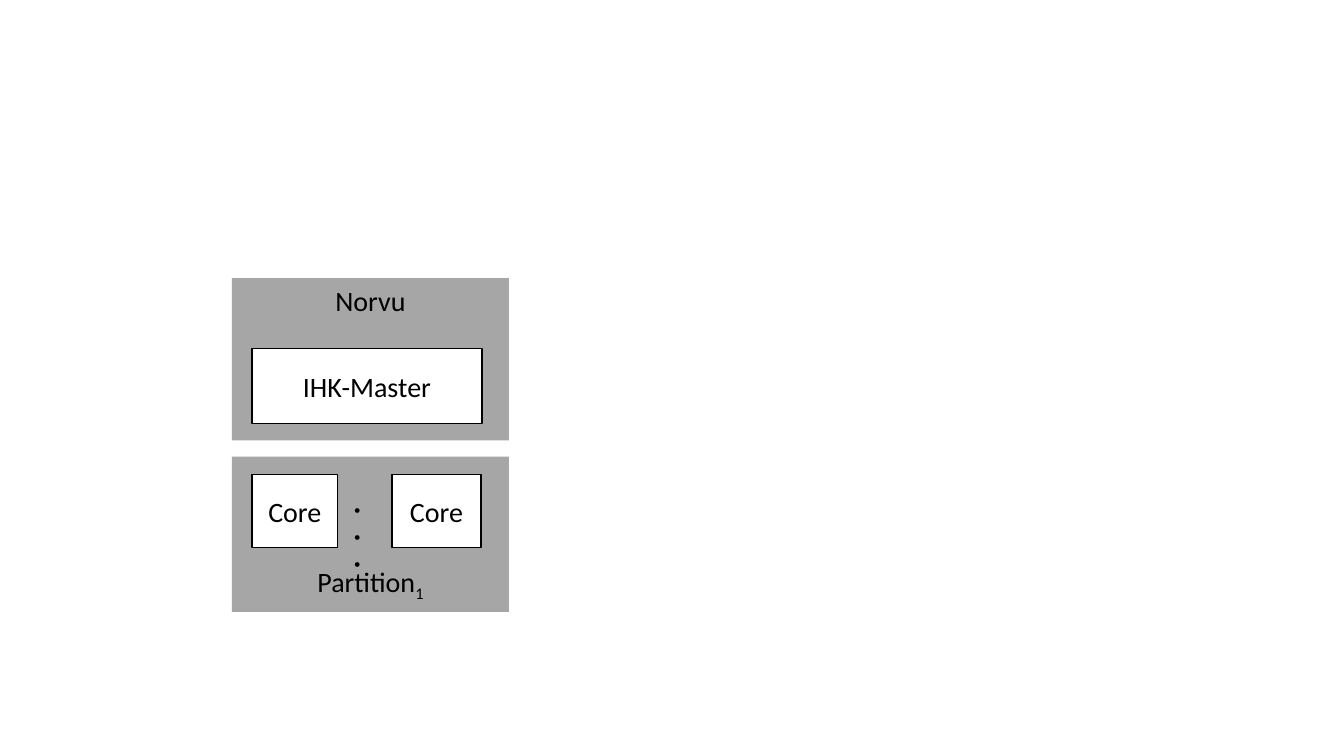
from pptx import Presentation
from pptx.dml.color import RGBColor
from pptx.enum.shapes import MSO_SHAPE as Shape
from pptx.enum.text import MSO_ANCHOR as Anchor, MSO_AUTO_SIZE as AutoSize, PP_ALIGN as Align
from pptx.util import Pt

BLACK, WHITE, GREY = "000000", "FFFFFF", "A6A6A6"
PANEL_LEFT, PANEL_WIDTH = 165.6, 198
CORE_TOP, CORE_HEIGHT = 339.1, 51.8
LABEL = {"name": "Calibri", "size": Pt(20)}
DOTS = {"name": "Times New Roman", "size": Pt(16)}


def color(value):
    return RGBColor.from_string(value)


def set_values(target, values):
    for name, value in values.items():
        setattr(target, name, value)


def add_run(paragraph, text, font):
    run = paragraph.add_run()
    run.text = text
    set_values(run.font, font)
    run.font.color.rgb = color(BLACK)
    return run


def add_box(slide, box, fill):
    shape = slide.shapes.add_shape(Shape.RECTANGLE, *map(Pt, box))
    shape.shadow.inherit = False
    shape.fill.solid()
    shape.fill.fore_color.rgb = color(fill)
    shape.line.fill.background()
    return shape


def add_labelled_box(slide, box, text):
    shape = add_box(slide, box, WHITE)
    shape.line.color.rgb = color(BLACK)
    shape.line.width = Pt(1)
    set_values(shape.text_frame, {
        "word_wrap": False, "vertical_anchor": Anchor.MIDDLE,
        "margin_left": Pt(6.5), "margin_right": Pt(6.5),
        "margin_top": Pt(3), "margin_bottom": Pt(3),
    })
    paragraph = shape.text_frame.paragraphs[0]
    paragraph.alignment = Align.CENTER
    add_run(paragraph, text, LABEL)


def add_text(slide, box, text, font, alignment=Align.CENTER, subscript=None):
    frame = slide.shapes.add_textbox(*map(Pt, box)).text_frame
    set_values(frame, {"word_wrap": True, "auto_size": AutoSize.NONE})
    paragraph = frame.paragraphs[0]
    paragraph.alignment = alignment
    add_run(paragraph, text, font)
    if subscript:
        run = add_run(paragraph, subscript, font)
        run.font._element.set("baseline", "-25000")


def main():
    presentation = Presentation()
    set_values(presentation, {"slide_width": Pt(960), "slide_height": Pt(540)})
    slide = presentation.slides.add_slide(presentation.slide_layouts[6])

    for top, height in ((326.2, 110.9), (198.7, 115.9)):
        add_box(slide, (PANEL_LEFT, top, PANEL_WIDTH, height), GREY)
    add_text(slide, (PANEL_LEFT, 198.7, PANEL_WIDTH, 31.7), "Norvu", LABEL)
    for left, width in ((180, 61.2), (280.1, 63.4)):
        add_labelled_box(slide, (left, CORE_TOP, width, CORE_HEIGHT), "Core")
    add_text(slide, (240.5, 351.4, 38.9, 26.6), "・・・", DOTS, Align.LEFT)
    add_labelled_box(slide, (180, 249.1, 164.2, 53.3), "IHK-Master")
    add_text(slide, (PANEL_LEFT, 399.6, PANEL_WIDTH, 31.7), "Partition", LABEL, subscript="1")

    presentation.save("out.pptx")


if __name__ == "__main__":
    main()
